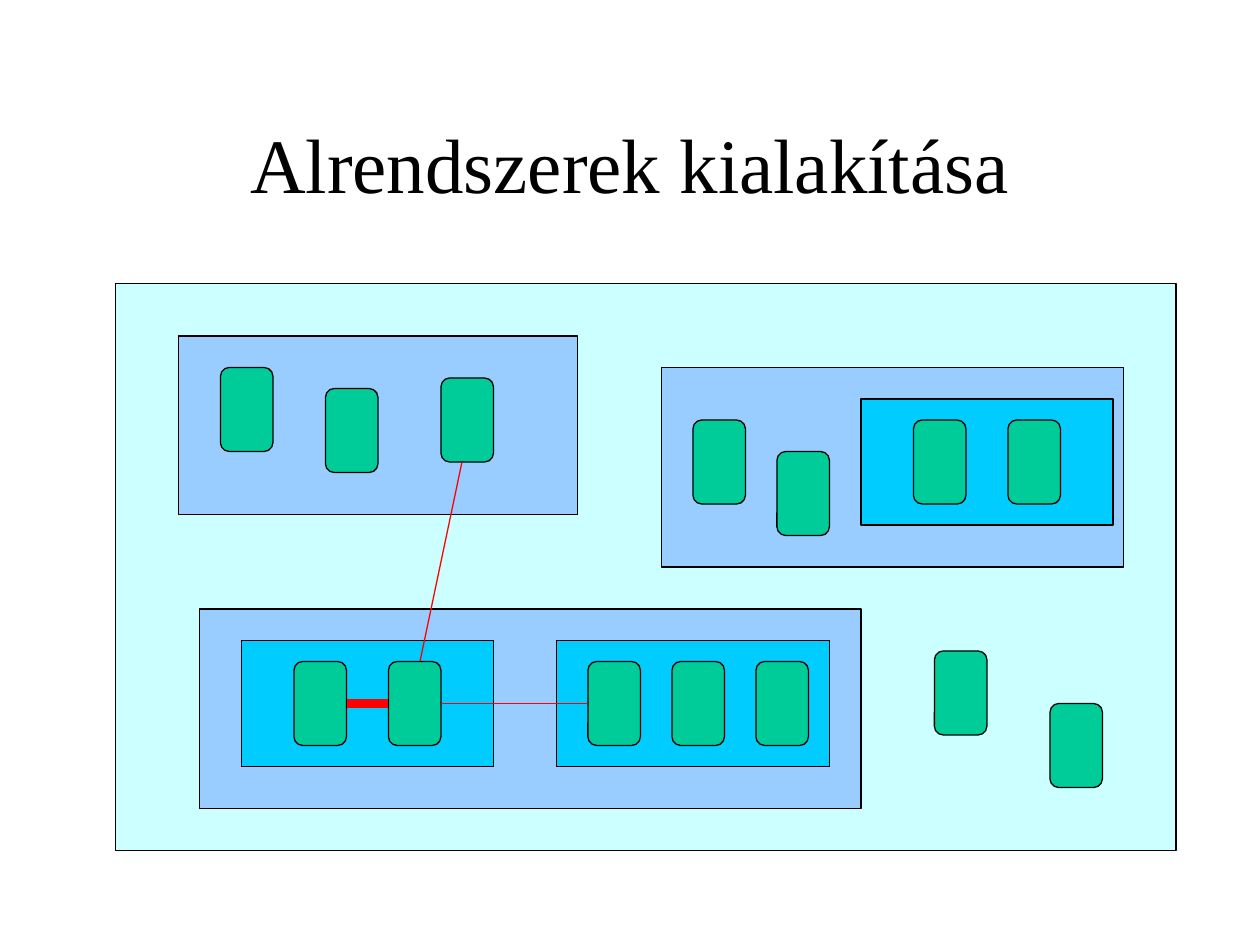
from pptx import Presentation
from pptx import util as u
from pptx.dml.color import RGBColor
from pptx.enum import shapes, text
from pptx.oxml.ns import qn
from lxml import etree

# Content: every position is in grid cells, twelve to the inch
TITLE = "Alrendszerek kialakítása"
TITLE_BOX = (9, 8, 102, 15)
SYSTEM = [(11, 27, 101, 54)]
SUBSYSTEMS = [(17, 32, 38, 17), (63, 35, 44, 19), (19, 58, 63, 19)]
INNER_SUBSYSTEMS = [(23, 61, 24, 12), (53, 61, 26, 12), (82, 38, 24, 12)]

MODULE_SIZE = (5, 8)
MODULES = {
    "top left": [(21, 35), (31, 37), (42, 36)],
    "top right": [(66, 40), (74, 43), (87, 40), (96, 40)],
    "bottom left": [(28, 63), (37, 63)],
    "bottom middle": [(56, 63), (64, 63), (72, 63)],
    "standalone": [(89, 62), (100, 67)],
}
# Links run from the right side of one module to the left side of the next
SIDE_LINKS = [
    (("bottom left", 0), ("bottom left", 1), "strong"),
    (("bottom left", 1), ("bottom middle", 0), "weak"),
]
CROSS_LINK = ((40, 63), (44, 44))

THEME = {
    "font": "Times New Roman", "title size": 44, "title": "000000",
    "system": "CCFFFF", "subsystem": "99CCFF", "inner": "00CCFF",
    "module": "00CC99", "outline": "000000", "outline width": 0.75,
    "link": "FF0000", "strong": 5, "weak": 0.75,
}
CORNER = 0.167
LEFT, RIGHT = 1, 3


def color(role):
    return RGBColor.from_string(THEME[role])


def cells(*counts):
    return [u.Inches(count / 12) for count in counts]


def add_block(slide, box, role, preset=shapes.MSO_SHAPE.RECTANGLE):
    shape = slide.shapes.add_shape(preset, *cells(*box))
    shape.shadow.inherit = False
    shape.fill.solid()
    shape.fill.fore_color.rgb = color(role)
    shape.line.color.rgb = color("outline")
    shape.line.width = u.Pt(THEME["outline width"])
    return shape


def add_module(slide, corner):
    shape = add_block(slide, corner + MODULE_SIZE, "module",
                      shapes.MSO_SHAPE.ROUNDED_RECTANGLE)
    shape.adjustments[0] = CORNER
    return shape


def add_link(slide, start, end, strength):
    link = slide.shapes.add_connector(
        shapes.MSO_CONNECTOR.STRAIGHT, *cells(*start, *end))
    link.line.color.rgb = color("link")
    link.line.width = u.Pt(THEME[strength])
    etree.SubElement(link._element.spPr, qn("a:effectLst"))
    return link


def add_title(slide):
    box = slide.shapes.add_textbox(*cells(*TITLE_BOX))
    frame = box.text_frame
    frame.word_wrap = True
    frame.vertical_anchor = text.MSO_ANCHOR.MIDDLE
    paragraph = frame.paragraphs[0]
    paragraph.text = TITLE
    paragraph.alignment = text.PP_ALIGN.CENTER
    paragraph.font.name = THEME["font"]
    paragraph.font.size = u.Pt(THEME["title size"])
    paragraph.font.color.rgb = color("title")


def main():
    presentation = Presentation()
    presentation.slide_width, presentation.slide_height = cells(120, 90)
    slide = presentation.slides.add_slide(presentation.slide_layouts[6])
    add_title(slide)

    # Nested systems, outermost first
    for role, boxes in (("system", SYSTEM), ("subsystem", SUBSYSTEMS),
                        ("inner", INNER_SUBSYSTEMS)):
        for box in boxes:
            add_block(slide, box, role)

    # Modules
    modules = {group: [add_module(slide, corner) for corner in corners]
               for group, corners in MODULES.items()}

    # Links between modules
    for (group, index), (next_group, next_index), strength in SIDE_LINKS:
        link = add_link(slide, (0, 0), (0, 0), strength)
        link.begin_connect(modules[group][index], RIGHT)
        link.end_connect(modules[next_group][next_index], LEFT)
    add_link(slide, *CROSS_LINK, "weak")

    presentation.save("out.pptx")


if __name__ == "__main__":
    main()
